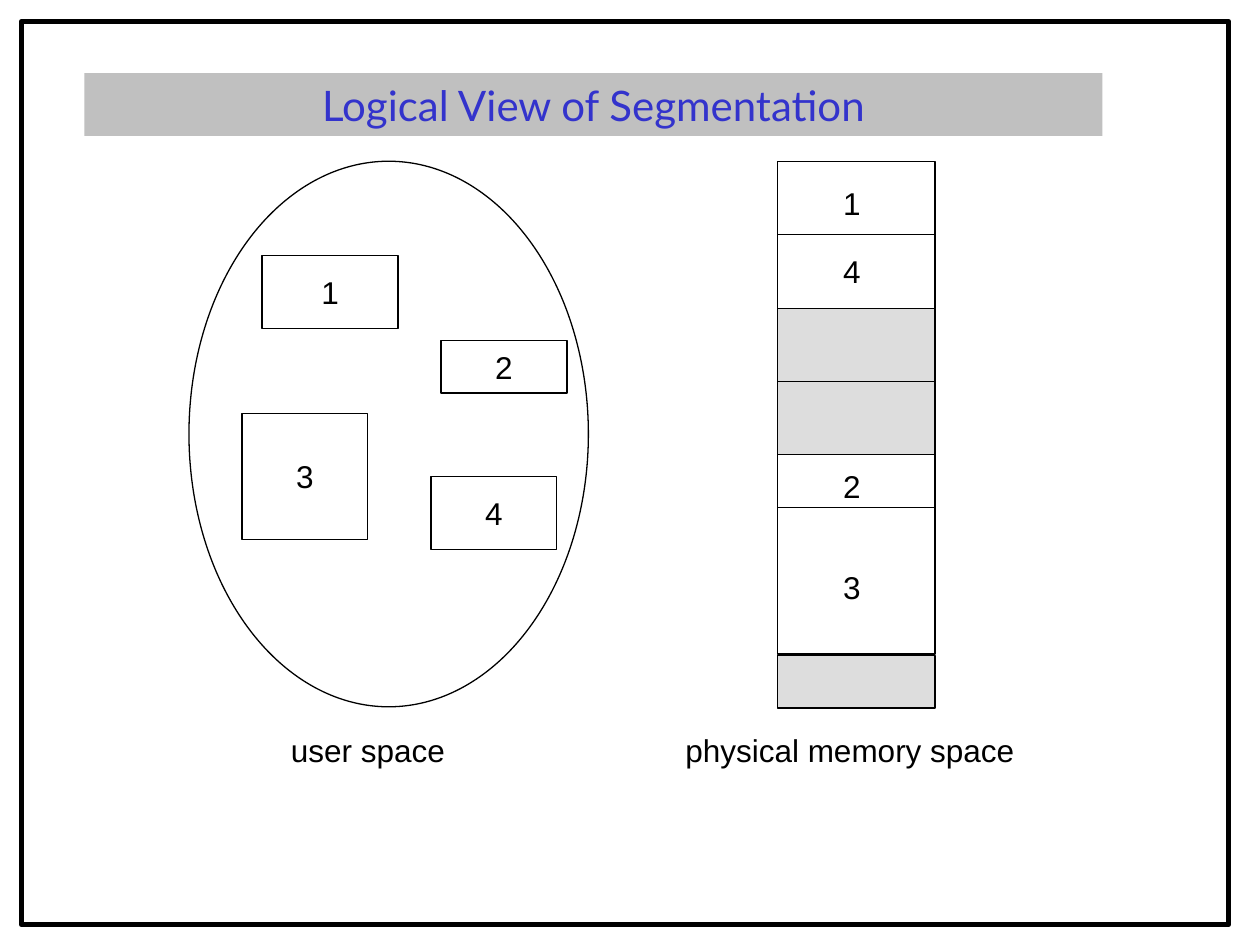
from dataclasses import dataclass

from lxml import etree
from pptx import Presentation
from pptx import util as u
from pptx.dml.color import RGBColor
from pptx.enum import shapes, text
from pptx.oxml import ns


@dataclass(frozen=True)
class Theme:
    ink: RGBColor = RGBColor(0x00, 0x00, 0x00)
    paper: RGBColor = RGBColor(0xFF, 0xFF, 0xFF)
    free: RGBColor = RGBColor(0xDD, 0xDD, 0xDD)
    banner: RGBColor = RGBColor(0xC0, 0xC0, 0xC0)
    title: RGBColor = RGBColor(0x33, 0x33, 0xCC)
    body_font: str = "Arial"
    title_font: str = "Lato"
    body_size: int = 18
    title_size: int = 24
    thin: float = 0.75
    thick: float = 3


THEME = Theme()
RECT = shapes.MSO_SHAPE.RECTANGLE
OVAL = shapes.MSO_SHAPE.OVAL

# Segments in user space: number, left, top, width, height
SEGMENTS = [
    ("1", 2.08, 2.03, 1.08, 0.58),
    ("3", 1.92, 3.28, 1, 1),
    ("2", 3.5, 2.7, 1, 0.42),
    ("4", 3.42, 3.78, 1, 0.58),
]

# Physical memory column: blocks (top, height, fill), dividers, labels
MEMORY_LEFT, MEMORY_WIDTH = 6.17, 1.25
BLOCKS = [
    (1.28, 1.17, THEME.paper),
    (2.45, 1.17, THEME.free),
    (3.61, 1.58, THEME.paper),
    (5.2, 0.42, THEME.free),
]
DIVIDERS = [1.86, 3.03, 4.03]
MEMORY_LABELS = [("1", 1.41), ("4", 1.95), ("2", 3.66), ("3", 4.46)]


def write(frame, words, font=THEME.body_font, size=THEME.body_size,
          color=THEME.ink, wrap=False):
    frame.word_wrap = wrap
    frame.vertical_anchor = text.MSO_ANCHOR.MIDDLE
    line = frame.paragraphs[0]
    line.text = words
    line.alignment = text.PP_ALIGN.CENTER
    line.font.name = font
    line.font.size = u.Pt(size)
    line.font.color.rgb = color


def add_outline(parent, kind, box, fill=None, width=THEME.thin):
    outline = parent.add_shape(kind, *map(u.Inches, box))
    outline.shadow.inherit = False
    if fill is None:
        outline.fill.background()
    else:
        outline.fill.solid()
        outline.fill.fore_color.rgb = fill
    if width:
        outline.line.color.rgb = THEME.ink
        outline.line.width = u.Pt(width)
    else:
        outline.line.fill.background()
    return outline


def add_divider(parent, left, right, y):
    divider = parent.add_connector(
        shapes.MSO_CONNECTOR.STRAIGHT,
        u.Inches(left), u.Inches(y), u.Inches(right), u.Inches(y))
    divider.line.color.rgb = THEME.ink
    divider.line.width = u.Pt(THEME.thin)
    etree.SubElement(divider.element.spPr, ns.qn("a:effectLst"))


def add_label(parent, words, left, top, width):
    label = parent.add_textbox(*map(u.Inches, (left, top, width, 0.4)))
    write(label.text_frame, words)


def add_user_space(parent):
    add_outline(parent, OVAL, (1.5, 1.28, 3.17, 4.33), THEME.paper)
    for number, *box in SEGMENTS:
        segment = add_outline(parent, RECT, box, THEME.paper)
        write(segment.text_frame, number)


def add_memory(parent):
    column = parent.add_group_shape().shapes
    for top, height, fill in BLOCKS:
        add_outline(column, RECT, (MEMORY_LEFT, top, MEMORY_WIDTH, height), fill)
    for y in DIVIDERS:
        add_divider(column, MEMORY_LEFT, MEMORY_LEFT + MEMORY_WIDTH, y)
    for number, top in MEMORY_LABELS:
        add_label(column, number, 6.59, top, 0.34)


def add_title(parent, words):
    banner = add_outline(parent, RECT, (0.67, 0.58, 8.08, 0.5),
                         THEME.banner, width=0)
    write(banner.text_frame, words, THEME.title_font, THEME.title_size,
          THEME.title, wrap=True)
    banner.text_frame.vertical_anchor = text.MSO_ANCHOR.TOP


def main():
    deck = Presentation()
    deck.slide_width, deck.slide_height = u.Inches(10), u.Inches(7.5)
    parts = deck.slides.add_slide(deck.slide_layouts[6]).shapes

    # The two address spaces
    add_user_space(parts)
    add_memory(parts)

    # Captions
    add_label(parts, "user space ", 2.21, 5.75, 1.49)
    add_label(parts, "physical memory space", 5.34, 5.75, 2.81)

    # Slide border and title
    add_outline(parts, RECT, (0.17, 0.17, 9.58, 7.17), width=THEME.thick)
    add_title(parts, "Logical View of Segmentation")

    deck.save("out.pptx")


if __name__ == "__main__":
    main()
